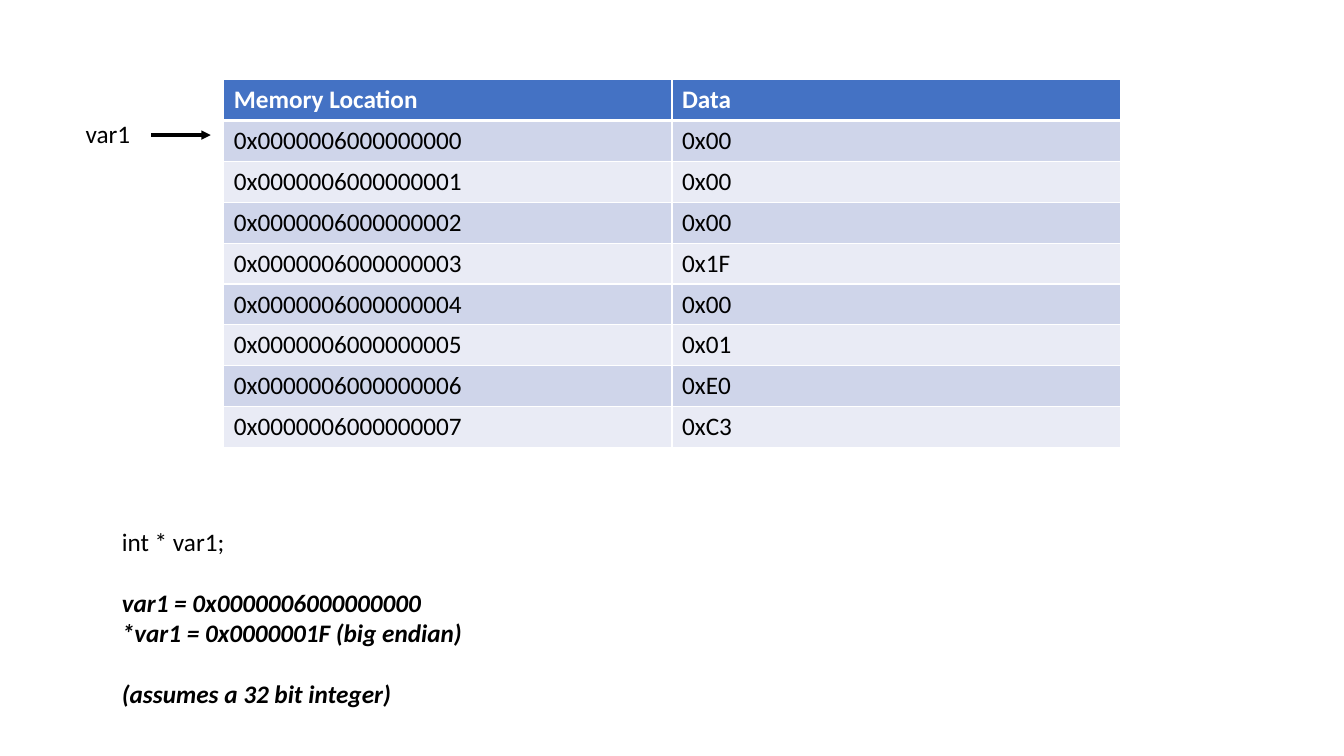
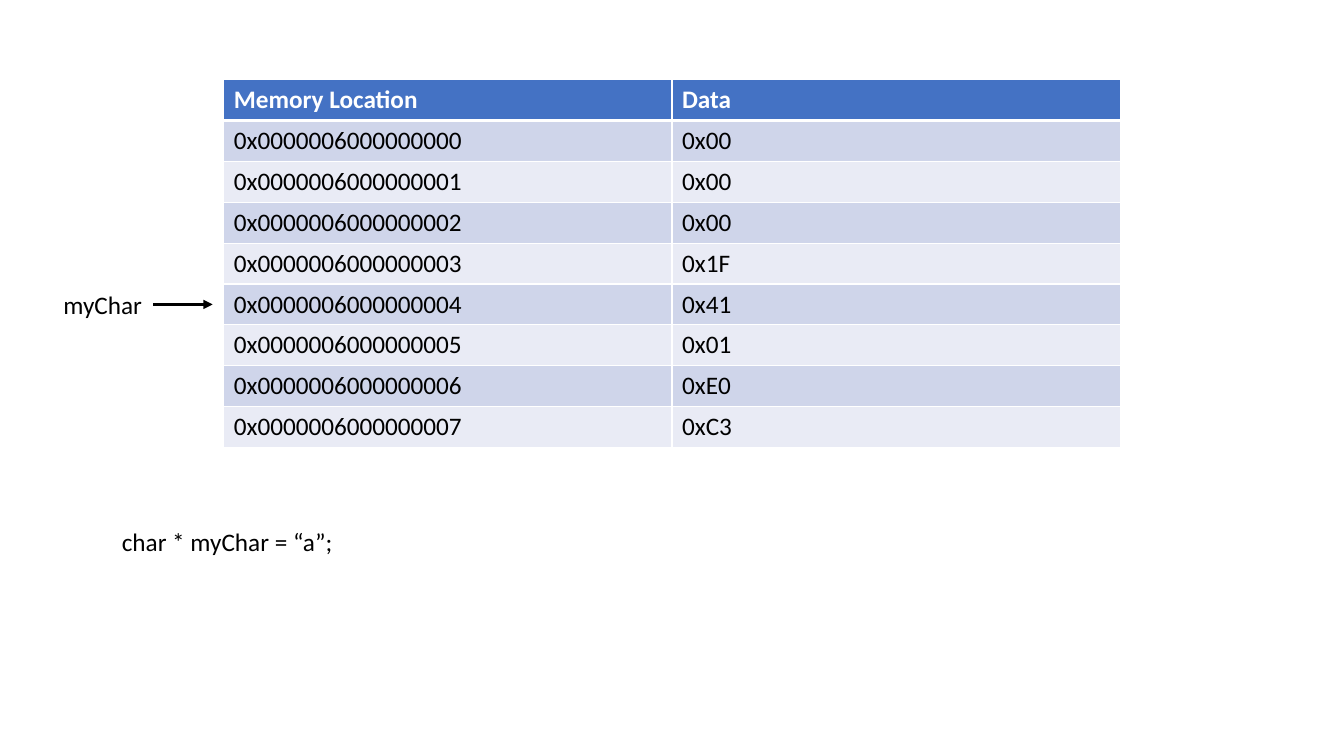
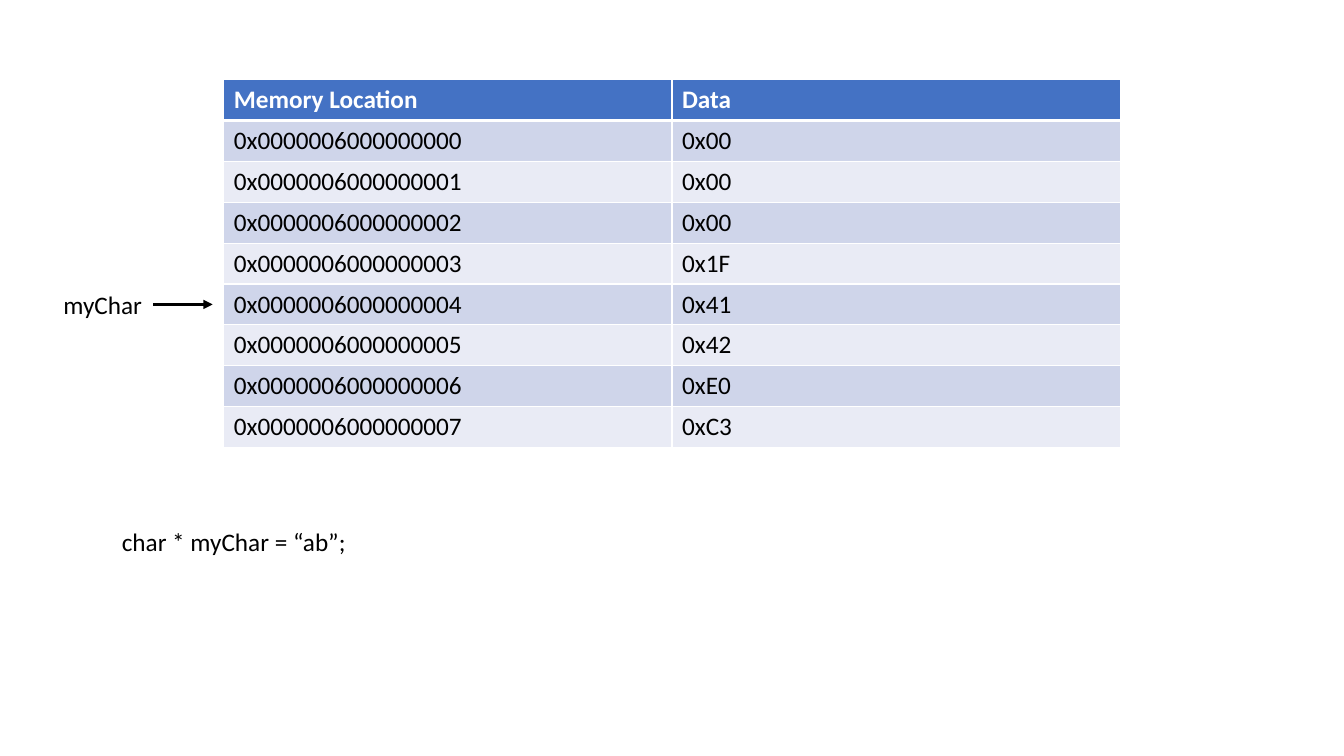
from pptx import Presentation
from pptx.dml.color import RGBColor
from pptx.enum.shapes import MSO_CONNECTOR
from pptx.enum.text import MSO_ANCHOR, MSO_AUTO_SIZE
from pptx.oxml.ns import qn
from pptx.util import Inches, Pt
from lxml import etree

STRAIGHT = MSO_CONNECTOR.STRAIGHT
TOP = MSO_ANCHOR.TOP
FIT_SHAPE = MSO_AUTO_SIZE.SHAPE_TO_FIT_TEXT

COLORS = {
    "text": "000000",
    "white": "FFFFFF",
    "header": "4472C4",
    "band_dark": "CFD5EA",
    "band_light": "E9EBF5",
}
FONT = "Calibri"
SIZE = 18
BLANK_LINE = 22

TABLE_LEFT, TABLE_TOP = 2.22, 0.79
TABLE_WIDTH, TABLE_HEIGHT = 8.89, 3.65
HEADINGS = ("Memory Location", "Data")
BASE_ADDRESS = 0x6000000000
CODE_LEFT, CODE_TOP = 1.11, 5.17
ARROW_LENGTH = 0.59


def rgb(name):
    return RGBColor.from_string(COLORS[name])


def style_font(p, color="text", bold=False, italic=False):
    for r in p.runs:
        r.font.name = FONT
        r.font.size = Pt(SIZE)
        r.font.color.rgb = rgb(color)
        r.font.bold = bold
        r.font.italic = italic


def add_borders(cell, top, bottom):
    """Draw white cell borders; top and bottom are widths in points."""
    tcPr = cell._tc.get_or_add_tcPr()
    for side, width in (("L", 1), ("R", 1), ("T", top), ("B", bottom)):
        ln = etree.SubElement(tcPr, qn(f"a:ln{side}"), w=str(Pt(width)))
        fill = etree.SubElement(ln, qn("a:solidFill"))
        etree.SubElement(fill, qn("a:srgbClr"), val=COLORS["white"])


def add_memory_table(slide, data):
    """Show one byte per row, with addresses counted from BASE_ADDRESS."""
    rows = [HEADINGS]
    rows += [(f"0x{BASE_ADDRESS + i:016X}", f"0x{byte:02X}")
             for i, byte in enumerate(data)]
    table = slide.shapes.add_table(
        len(rows), len(HEADINGS), Inches(TABLE_LEFT), Inches(TABLE_TOP),
        Inches(TABLE_WIDTH), Inches(TABLE_HEIGHT)).table
    for i, row in enumerate(rows):
        is_header = i == 0
        band = "header" if is_header else "band_dark" if i % 2 else "band_light"
        for j, text in enumerate(row):
            cell = table.cell(i, j)
            cell.text = text
            add_borders(cell, 3 if i == 1 else 1, 3 if is_header else 1)
            cell.fill.solid()
            cell.fill.fore_color.rgb = rgb(band)
            style_font(cell.text_frame.paragraphs[0],
                       "white" if is_header else "text", bold=is_header)


def add_text(slide, left, top, width, height, text):
    sp = slide.shapes.add_textbox(
        Inches(left), Inches(top), Inches(width), Inches(height))
    tf = sp.text_frame
    tf.word_wrap = False
    tf.auto_size = FIT_SHAPE
    tf.vertical_anchor = TOP
    tf.text = text
    for p in tf.paragraphs:
        style_font(p)
    return tf


def add_arrow(slide, left, y):
    line = slide.shapes.add_connector(
        STRAIGHT, Inches(left), Inches(y), Inches(left + ARROW_LENGTH), Inches(y))
    line.line.color.rgb = rgb("text")
    line.line.width = Pt(2.25)
    etree.SubElement(line.line._get_or_add_ln(), qn("a:tailEnd"), type="triangle")
    etree.SubElement(line._element.spPr, qn("a:effectLst"))


def add_int_slide(prs):
    slide = prs.slides.add_slide(prs.slide_layouts[6])
    add_memory_table(slide, (0x00, 0x00, 0x00, 0x1F, 0x00, 0x01, 0xE0, 0xC3))
    add_arrow(slide, 1.5, 1.34)
    add_text(slide, 0.75, 1.12, 0.65, 0.4, "var1")
    tf = add_text(slide, CODE_LEFT, CODE_TOP, 3.62, 1.92, "\n".join((
        "int * var1;",
        "var1 = 0x0000006000000000",
        "*var1 = 0x0000001F (big endian)",
        "(assumes a 32 bit integer)",
    )))
    for p in tf.paragraphs[1:]:
        style_font(p, bold=True, italic=True)
    for i in (1, 3):
        tf.paragraphs[i].space_before = Pt(BLANK_LINE)


def add_char_slide(prs, data, code, code_width):
    slide = prs.slides.add_slide(prs.slide_layouts[6])
    add_memory_table(slide, data)
    add_arrow(slide, 1.52, 3.02)
    add_text(slide, 0.53, 2.82, 0.99, 0.4, "myChar")
    add_text(slide, CODE_LEFT, CODE_TOP, code_width, 0.4, code)


def main():
    prs = Presentation()
    prs.slide_width = Inches(13.33)
    prs.slide_height = Inches(7.5)
    add_int_slide(prs)
    add_char_slide(prs, (0x00, 0x00, 0x00, 0x1F, 0x41, 0x01, 0xE0, 0xC3),
                   "char * myChar = “a”;", 2.32)
    add_char_slide(prs, (0x00, 0x00, 0x00, 0x1F, 0x41, 0x42, 0xE0, 0xC3),
                   "char * myChar = “ab”;", 2.45)
    prs.save("out.pptx")


if __name__ == "__main__":
    main()
